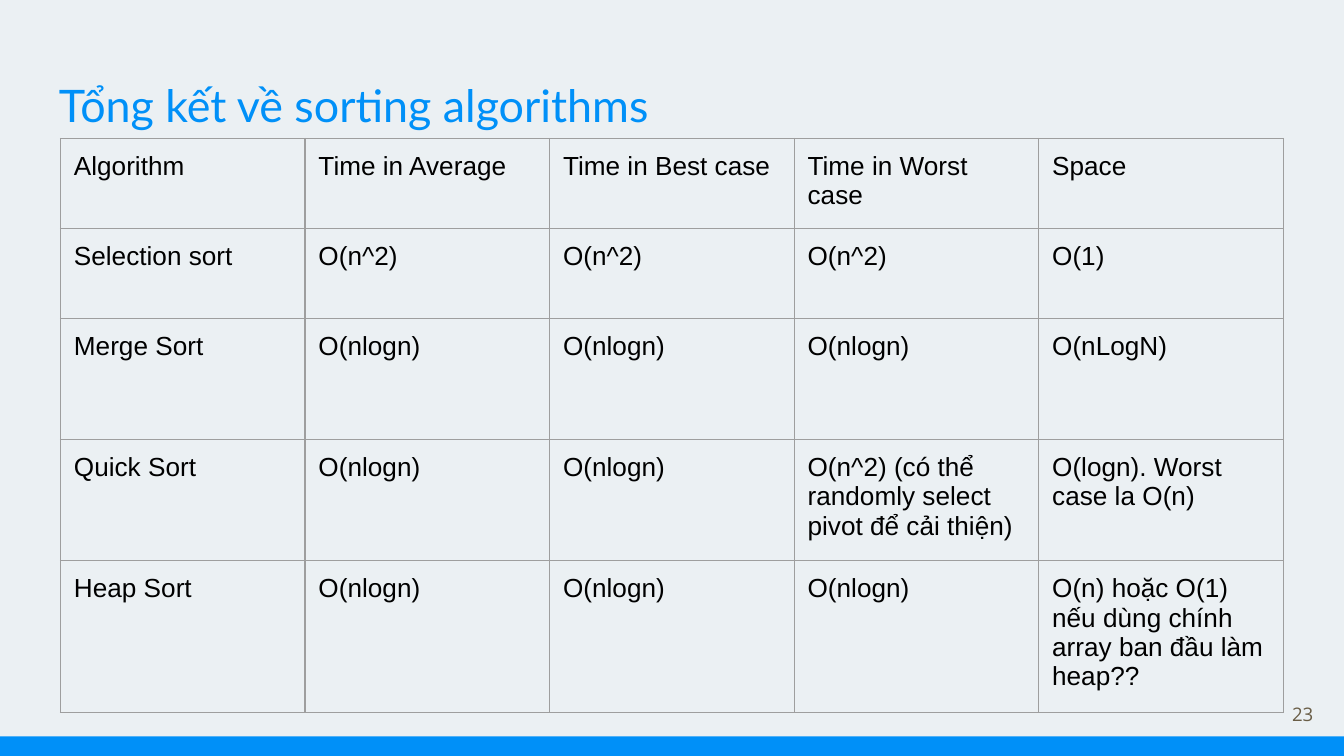
from lxml import etree
from pptx import Presentation
from pptx import util as u
from pptx.dml.color import RGBColor
from pptx.enum import shapes, text
from pptx.oxml import ns

COLORS = {
    "background": "EBF0F3",
    "accent": "0090F8",
    "number": "695D46",
    "body": "000000",
    "border": "9E9E9E",
}
INSET = u.Inches(0.1)
COLUMN_WIDTH = 1.82
ROW_HEIGHTS = [0.67, 0.67, 0.9, 0.89, 1.13]
ROWS = [
    ["Algorithm", "Time in Average", "Time in Best case", "Time in Worst case", "Space"],
    ["Selection sort", "O(n^2)", "O(n^2)", "O(n^2)", "O(1)"],
    ["Merge Sort", "O(nlogn)", "O(nlogn)", "O(nlogn)", "O(nLogN)"],
    ["Quick Sort", "O(nlogn)", "O(nlogn)",
     "O(n^2) (có thể randomly select pivot để cải thiện)",
     "O(logn). Worst case la O(n)"],
    ["Heap Sort", "O(nlogn)", "O(nlogn)", "O(nlogn)",
     "O(n) hoặc O(1) nếu dùng chính array ban đầu làm heap??"],
]


def color(name):
    return RGBColor.from_string(COLORS[name])


def write(frame, words, size=14, font="Arial", fill="body", align=text.PP_ALIGN.LEFT):
    para = frame.paragraphs[0]
    para.alignment = align
    span = para.add_run()
    span.text = words
    span.font.size = u.Pt(size)
    span.font.name = font
    span.font.color.rgb = color(fill)


def add_text(page, words, left, top, width, height,
             anchor=text.MSO_ANCHOR.TOP, **style):
    box = page.shapes.add_textbox(*map(u.Inches, (left, top, width, height)))
    frame = box.text_frame
    frame.word_wrap = True
    frame.vertical_anchor = anchor
    frame.margin_left = frame.margin_right = INSET
    frame.margin_top = frame.margin_bottom = INSET
    write(frame, words, **style)


def add_bar(page, left, top, width, height):
    bar = page.shapes.add_shape(
        shapes.MSO_SHAPE.RECTANGLE, *map(u.Inches, (left, top, width, height)))
    bar.shadow.inherit = False
    bar.fill.solid()
    bar.fill.fore_color.rgb = color("accent")
    bar.line.fill.background()


def add_borders(cell):
    properties = cell._tc.get_or_add_tcPr()
    for position, side in enumerate(("lnL", "lnR", "lnT", "lnB")):
        line = etree.Element(ns.qn(f"a:{side}"), w=str(u.Pt(0.75)))
        solid = etree.SubElement(line, ns.qn("a:solidFill"))
        etree.SubElement(solid, ns.qn("a:srgbClr"), val=COLORS["border"])
        properties.insert(position, line)


def add_grid(page, left, top):
    columns = len(ROWS[0])
    table = page.shapes.add_table(
        len(ROWS), columns, u.Inches(left), u.Inches(top),
        u.Inches(COLUMN_WIDTH * columns), u.Inches(sum(ROW_HEIGHTS))).table
    table.first_row = table.horz_banding = False
    for column in table.columns:
        column.width = u.Inches(COLUMN_WIDTH)
    for row, height, entries in zip(table.rows, ROW_HEIGHTS, ROWS):
        row.height = u.Inches(height)
        for cell, words in zip(row.cells, entries):
            cell.margin_left = cell.margin_right = INSET
            cell.margin_top = cell.margin_bottom = INSET
            cell.fill.background()
            add_borders(cell)
            write(cell.text_frame, words)


def main():
    deck = Presentation()
    deck.slide_width = u.Inches(10)
    deck.slide_height = deck.slide_width * 9 // 16
    page = deck.slides.add_slide(deck.slide_layouts[6])
    page.background.fill.solid()
    page.background.fill.fore_color.rgb = color("background")

    add_text(page, "Tổng kết về sorting algorithms", 0.34, 0.48, 9.32, 0.77,
             size=24, font="Lato", fill="accent")
    add_bar(page, 0, 5.48, 10, 0.15)
    add_text(page, "23", 9.27, 5.1, 0.6, 0.43, anchor=text.MSO_ANCHOR.MIDDLE,
             size=10, font="Open Sans", fill="number", align=text.PP_ALIGN.RIGHT)
    add_grid(page, 0.45, 1.03)
    deck.save("out.pptx")


if __name__ == "__main__":
    main()
